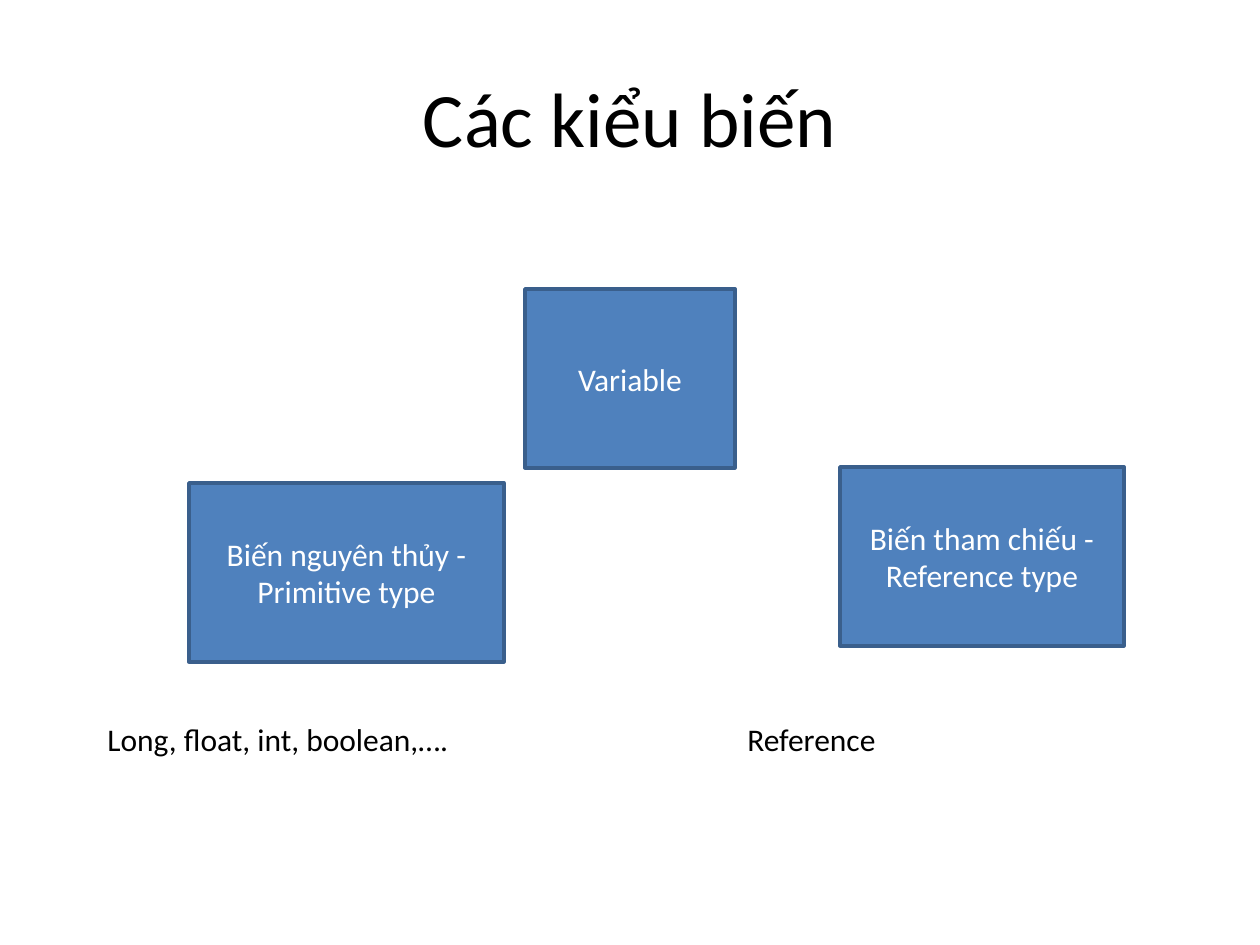
from pptx import Presentation, util as u
from pptx.dml.color import RGBColor
from pptx.enum import shapes, text

PX = 914400 / 126


def box(*lengths):
    return [u.Emu(round(n * PX)) for n in lengths]


def style(tf, size, color, align):
    for p in tf.paragraphs:
        p.alignment = align
        for r in p.runs:
            r.font.name = "Calibri"
            r.font.size = u.Pt(size)
            r.font.color.rgb = RGBColor.from_string(color)


prs = Presentation()
prs.slide_width, prs.slide_height = box(1260, 945)
s = prs.slides.add_slide(prs.slide_layouts[5])

title = s.shapes.title
title.left, title.top, title.width, title.height = box(63, 38, 1134, 158)
title.text_frame.text = "Các kiểu biến"
title.text_frame.vertical_anchor = text.MSO_ANCHOR.MIDDLE
style(title.text_frame, 44, "000000", text.PP_ALIGN.CENTER)

nodes = [
    (525, 289, 210, "Variable"),
    (189, 483, 315, "Biến nguyên thủy - Primitive\u00a0type"),
    (840, 467, 284, "Biến tham chiếu - Reference\u00a0type"),
]
for x, y, w, label in nodes:
    sp = s.shapes.add_shape(shapes.MSO_SHAPE.RECTANGLE, *box(x, y, w, 179))
    sp.shadow.inherit = False
    sp.fill.solid()
    sp.fill.fore_color.rgb = RGBColor.from_string("4F81BD")
    sp.line.color.rgb = RGBColor.from_string("3A5F8C")
    sp.line.width = u.Pt(2)
    tf = sp.text_frame
    tf.text = label
    tf.word_wrap = True
    tf.vertical_anchor = text.MSO_ANCHOR.MIDDLE
    style(tf, 18, "FFFFFF", text.PP_ALIGN.CENTER)

examples = [
    (95, 370, "Long, float, int, boolean,…."),
    (735, 163, "Reference\u00a0"),
]
for x, w, label in examples:
    tf = s.shapes.add_textbox(*box(x, 714, w, 50)).text_frame
    tf.text = label
    tf.word_wrap = False
    tf.auto_size = text.MSO_AUTO_SIZE.SHAPE_TO_FIT_TEXT
    style(tf, 18, "000000", text.PP_ALIGN.LEFT)

prs.save("out.pptx")
